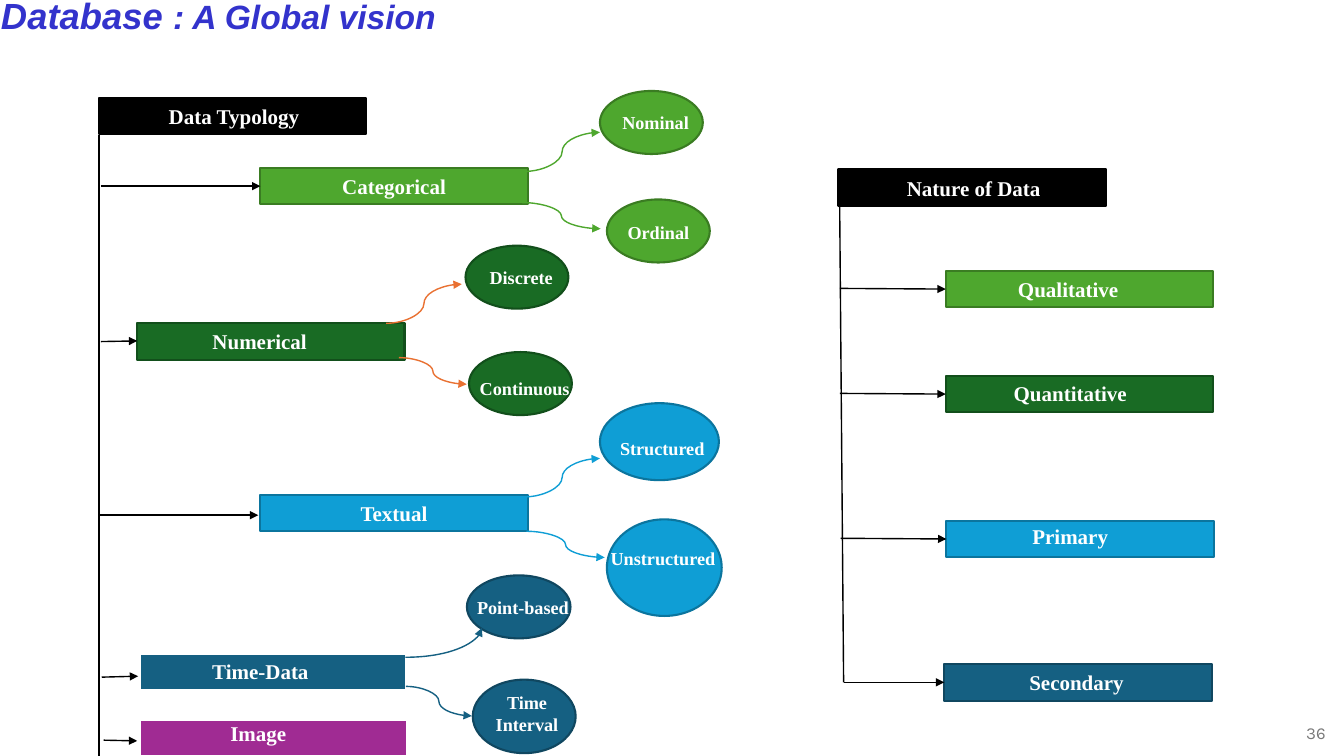
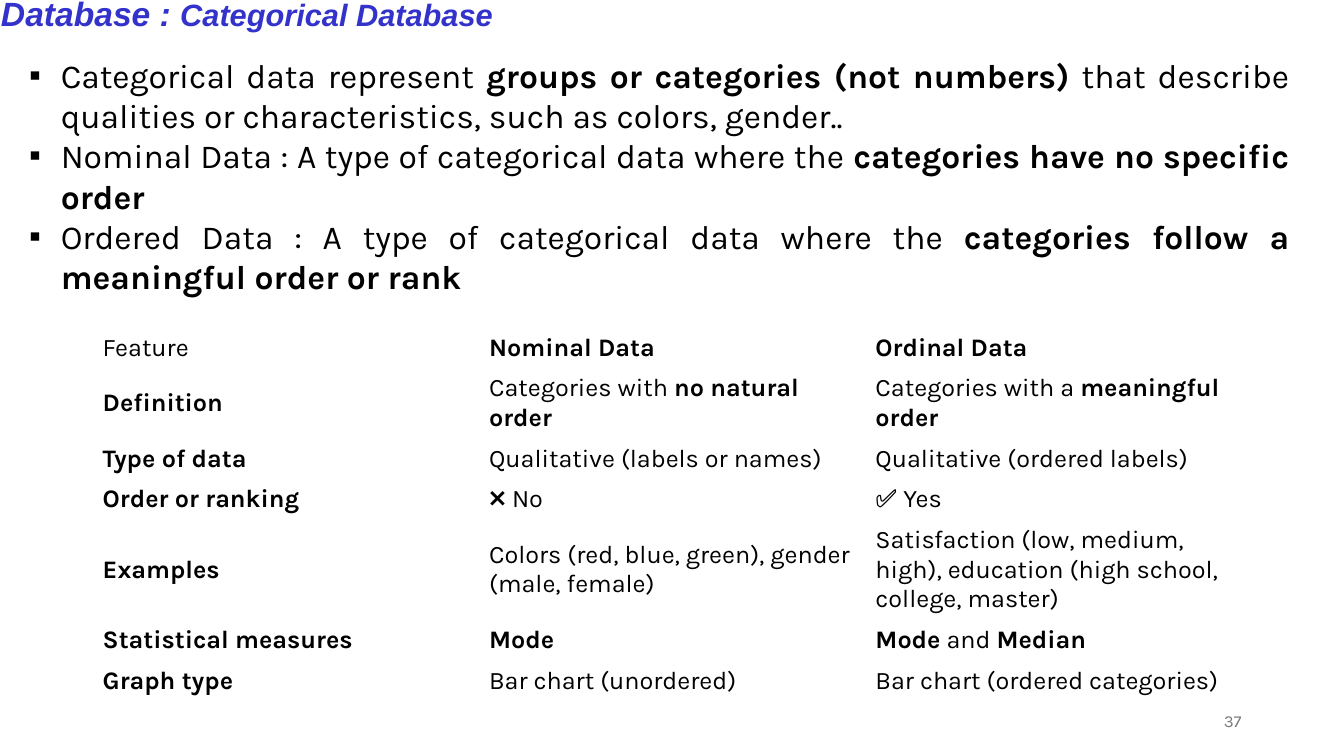
from dataclasses import dataclass

from lxml import etree
from pptx import Presentation
from pptx.dml.color import RGBColor
from pptx.enum.shapes import MSO_CONNECTOR as Link, MSO_SHAPE as Shape
from pptx.enum.text import MSO_ANCHOR as Anchor, MSO_AUTO_SIZE as AutoSize, PP_ALIGN as Align
from pptx.oxml.ns import qn
from pptx.util import Pt


@dataclass(frozen=True)
class Theme:
    black: str = "000000"
    white: str = "FFFFFF"
    title: str = "3333CC"
    page: str = "797979"
    orange: str = "E97132"
    # (fill, outline) pairs
    root: tuple = ("000000", "000000")
    green: tuple = ("4EA72E", "3A7C22")
    forest: tuple = ("196B24", "124F1B")
    sky: tuple = ("0F9ED5", "0B759E")
    navy: tuple = ("156082", "104760")
    navy_plain: tuple = ("156082", "FFFFFF")
    purple_plain: tuple = ("A02B93", "FFFFFF")
    title_font: str = "Arial"
    body_font: str = "Karla"
    diagram_font: str = "Times New Roman"
    body_size: int = 24
    table_size: int = 18
    box_size: int = 15
    leaf_size: int = 13
    page_size: int = 12


THEME = Theme()
TITLE_ONLY, TITLE_AND_BODY = 5, 1
NO_STYLE_NO_GRID = "{2D5ABB26-0587-4C30-8999-92F81FD0307C}"
BOX_W, BOX_H = 191, 26


def rgb(value):
    return RGBColor.from_string(value)


def set_font(font, name, size, color, bold=None, italic=None):
    font.name, font.size, font.bold, font.italic = name, Pt(size), bold, italic
    font.color.rgb = rgb(color)


def add_marked_runs(paragraph, text):
    """Text between double asterisks becomes bold."""
    for index, part in enumerate(text.split("**")):
        if part:
            run = paragraph.add_run()
            run.text = part
            run.font.bold = index % 2 == 1


class Deck:
    def __init__(self, theme):
        self.theme = theme
        self.prs = Presentation()
        self.prs.slide_width, self.prs.slide_height = Pt(960), Pt(540)
        self.slide = None

    def place(self, shape, left, top, width, height):
        shape.left, shape.top = Pt(left), Pt(top)
        shape.width, shape.height = Pt(width), Pt(height)

    def start(self, layout, title_parts, page, page_right):
        """New slide with its title, given as (text, size) parts, and page number."""
        t = self.theme
        self.slide = self.prs.slides.add_slide(self.prs.slide_layouts[layout])
        title = self.slide.shapes.title
        self.place(title, 0.7, -6, 662, 32)
        frame = title.text_frame
        frame.auto_size, frame.word_wrap = AutoSize.NONE, True
        frame.vertical_anchor = Anchor.TOP
        frame.margin_left = frame.margin_right = frame.margin_bottom = 0
        frame.margin_top = Pt(1)
        paragraph = frame.paragraphs[0]
        paragraph.alignment, paragraph.space_before = Align.LEFT, Pt(1)
        for text, size in title_parts:
            run = paragraph.add_run()
            run.text = text
            set_font(run.font, t.title_font, size, t.title, True, True)
        self.page_number(page, *page_right)

    def page_number(self, page, right, top):
        box = self.slide.shapes.add_textbox(Pt(right - 42), Pt(top), Pt(42), Pt(29))
        frame = box.text_frame
        frame.word_wrap, frame.vertical_anchor = True, Anchor.MIDDLE
        paragraph = frame.paragraphs[0]
        paragraph.text, paragraph.alignment = page, Align.RIGHT
        set_font(paragraph.font, self.theme.body_font, self.theme.page_size, self.theme.page)

    def node(self, kind, place, colors, text, size, shift):
        """Filled shape whose centred label is moved by shift (right, down)."""
        t = self.theme
        fill, outline = colors
        shape = self.slide.shapes.add_shape(kind, *map(Pt, place))
        shape.shadow.inherit = False
        shape.fill.solid()
        shape.fill.fore_color.rgb = rgb(fill)
        shape.line.color.rgb = rgb(outline)
        shape.line.width = Pt(2 if outline == t.white else 1.5)
        frame = shape.text_frame
        frame.word_wrap, frame.vertical_anchor = False, Anchor.MIDDLE
        right, down = shift
        frame.margin_left, frame.margin_right = Pt(max(2 * right, 0)), Pt(max(-2 * right, 0))
        frame.margin_top, frame.margin_bottom = Pt(max(2 * down, 0)), Pt(max(-2 * down, 0))
        frame.text = text
        for paragraph in frame.paragraphs:
            paragraph.alignment = Align.CENTER
            set_font(paragraph.font, t.diagram_font, size, t.white, True)

    def box(self, left, top, colors, text, shift=(0, 0)):
        self.node(Shape.RECTANGLE, (left, top, BOX_W, BOX_H), colors, text,
                  self.theme.box_size, shift)

    def leaf(self, place, colors, text, shift):
        self.node(Shape.OVAL, place, colors, text, self.theme.leaf_size, shift)

    def link(self, ends, color, kind=Link.STRAIGHT, arrow=True, preset=None):
        line = self.slide.shapes.add_connector(kind, *map(Pt, ends))
        line.line.color.rgb, line.line.width = rgb(color), Pt(1)
        properties = line._element.spPr
        if preset:
            properties.find(qn("a:prstGeom")).set("prst", preset)
        if arrow:
            etree.SubElement(line.line._get_or_add_ln(), qn("a:tailEnd"), type="triangle")
        etree.SubElement(properties, qn("a:effectLst"))

    def bullets(self, place, items):
        t = self.theme
        body = self.slide.placeholders[1]
        self.place(body, *place)
        frame = body.text_frame
        frame.auto_size, frame.word_wrap = AutoSize.NONE, True
        for index, item in enumerate(items):
            paragraph = frame.add_paragraph() if index else frame.paragraphs[0]
            add_marked_runs(paragraph, item)
            paragraph.alignment, paragraph.space_before = Align.JUSTIFY, Pt(0)
            set_font(paragraph.font, t.body_font, t.body_size, t.black)
            properties = paragraph._p.get_or_add_pPr()
            properties.set("marL", str(Pt(22.5)))
            properties.set("indent", str(-Pt(22.5)))
            marks = [etree.Element(qn("a:buFont"), typeface="Arial"),
                     etree.Element(qn("a:buChar"), char="▪")]
            defaults = properties.find(qn("a:defRPr"))
            for mark in marks:
                defaults.addprevious(mark)

    def table(self, left, top, column_width, heights, rows):
        t = self.theme
        columns = len(rows[0])
        grid = self.slide.shapes.add_table(
            len(rows), columns, Pt(left), Pt(top),
            Pt(columns * column_width), Pt(sum(heights))).table
        grid.first_row = grid.horz_banding = False
        grid._tbl.tblPr.find(qn("a:tableStyleId")).text = NO_STYLE_NO_GRID
        for row, height, texts in zip(grid.rows, heights, rows):
            row.height = Pt(height)
            for cell, text in zip(row.cells, texts):
                cell.fill.background()
                cell.vertical_anchor = Anchor.MIDDLE
                paragraph = cell.text_frame.paragraphs[0]
                add_marked_runs(paragraph, text)
                set_font(paragraph.font, t.body_font, t.table_size, t.black)


def global_vision(deck):
    t = deck.theme
    deck.start(TITLE_ONLY, [("Database ", 26), (": A Global vision", 24)], "36", (954, 509))

    # Roots and their rails
    deck.box(70.6, 70, t.root, "Data Typology", (1, 0))
    deck.box(599, 121, t.root, "Nature of Data", (1, 0))
    deck.link((70.6, 96.5, 70.6, 540), t.black, arrow=False)
    deck.link((599.8, 147.6, 602.6, 487.4), t.black, arrow=False)

    # Branches: left, top, colours, label, label shift, arrow from the rail
    branches = [
        (186, 120, t.green, "Categorical", (0, 0), (72, 133, 186, 133)),
        (98, 231, t.forest, "Numerical", (-8, 0), (72, 244, 98, 243.5)),
        (186, 353.5, t.sky, "Textual", (0, 0), (70.6, 368, 184.5, 368)),
        (99.5, 467, t.navy_plain, "Time-Data", (-9, -1), (72.7, 483.7, 98.7, 483)),
        (100, 514, t.purple_plain, "Image", (-11, -3), (74, 528.7, 98, 529.2)),
        (675.5, 193.5, t.green, "Qualitative", (-8, 0), (600, 206, 675.5, 206.5)),
        (675.5, 268.5, t.forest, "Quantitative", (-6.5, -1), (600, 281, 675.5, 281.5)),
        (676, 372, t.sky, "Primary", (-7, -2), (600.5, 384.5, 676, 385)),
        (674.5, 474.5, t.navy, "Secondary", (-1, 0), (602.6, 487.4, 674.5, 487.4)),
    ]
    for left, top, colors, label, shift, arrow in branches:
        deck.box(left, top, colors, label, shift)
        deck.link(arrow, t.black)

    # Leaves: place, colours, label, label shift, curve from the branch
    leaves = [
        ((428.5, 65, 73.5, 45), t.green, "Nominal", (3, 0), (374.5, 122.5, 428.5, 94.5)),
        ((433.5, 142.5, 73.5, 45), t.green, "Ordinal", (0, 1), (373, 144.7, 429, 163.4)),
        ((332.5, 175.5, 73.5, 45), t.forest, "Discrete", (3, 0), (275.8, 231, 329.8, 203)),
        ((335, 251.5, 73.5, 45), t.forest, "Continuous", (3, 3), (285, 255.5, 333.4, 274.5)),
        ((428.5, 288, 85, 55), t.sky, "Structured", (2, 5), (374.5, 355, 428.5, 327.5)),
        ((433.5, 371, 82, 69), t.sky, "Unstructured", (-1, -6.5), (376, 379.5, 432, 398.2)),
        ((333.5, 411, 74, 45), t.navy, "Point-based", (3, 0), (289.5, 469.5, 344.2, 448.6)),
        ((337.7, 485.5, 73.5, 52.5), t.navy, "Time\nInterval", (2, -2), (290, 490.3, 337, 511.4)),
    ]
    for place, colors, label, shift, curve in leaves:
        deck.leaf(place, colors, label, shift)
        deck.link(curve, t.orange if colors == t.forest else colors[0], Link.CURVE,
                  preset="curvedConnector2" if label == "Point-based" else None)


def categorical_database(deck):
    deck.start(TITLE_AND_BODY, [("Database : ", 24), ("Categorical Database", 22)],
               "37", (894, 500.5))

    # Definitions
    deck.bullets((13.7, 35.3, 914.4, 181.5), [
        "Categorical data represent **groups or categories (not numbers)** that describe "
        "qualities or characteristics, such as colors, gender..",
        "Nominal Data : A type of categorical data where the "
        "**categories have no specific order**",
        "Ordered Data : A type of categorical data where the "
        "**categories follow a meaningful order or rank**",
    ])

    # Comparison
    single, double, triple = 26.6, 46.8, 67
    deck.table(66.2, 234, 276, [single, double, single, single, triple, single, single], [
        ("Feature", "**Nominal Data**", "**Ordinal Data**"),
        ("**Definition**", "Categories with **no natural order**",
         "Categories with a **meaningful order**"),
        ("**Type of data**", "Qualitative (labels or names)", "Qualitative (ordered labels)"),
        ("**Order or ranking**", "❌ No", "✅ Yes"),
        ("**Examples**", "Colors (red, blue, green), gender (male, female)",
         "Satisfaction (low, medium, high), education (high school, college, master)"),
        ("**Statistical measures**", "**Mode**", "**Mode** and **Median**"),
        ("**Graph type**", "Bar chart (unordered)", "Bar chart (ordered categories)"),
    ])


def main():
    deck = Deck(THEME)
    global_vision(deck)
    categorical_database(deck)
    deck.prs.save("out.pptx")


if __name__ == "__main__":
    main()
